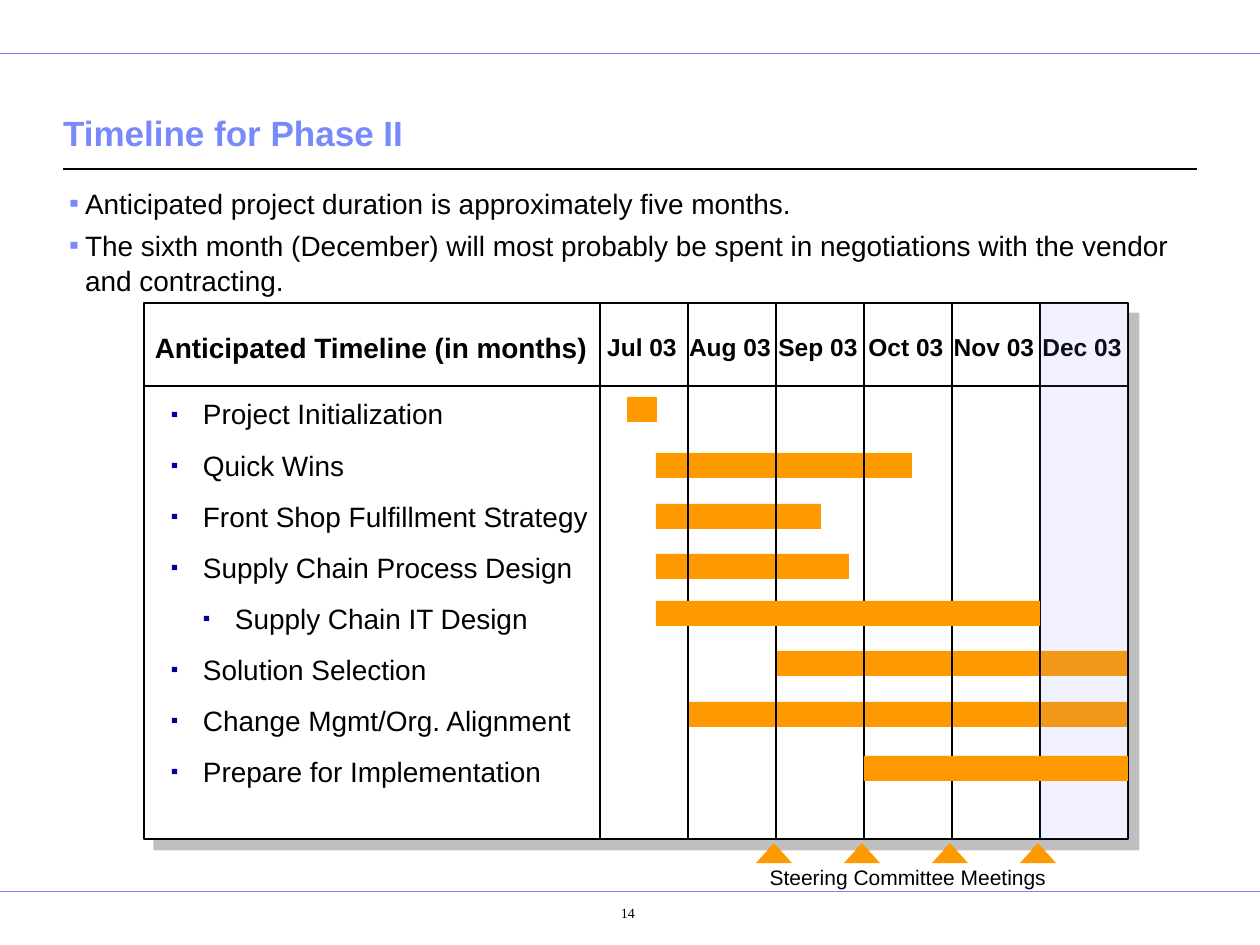
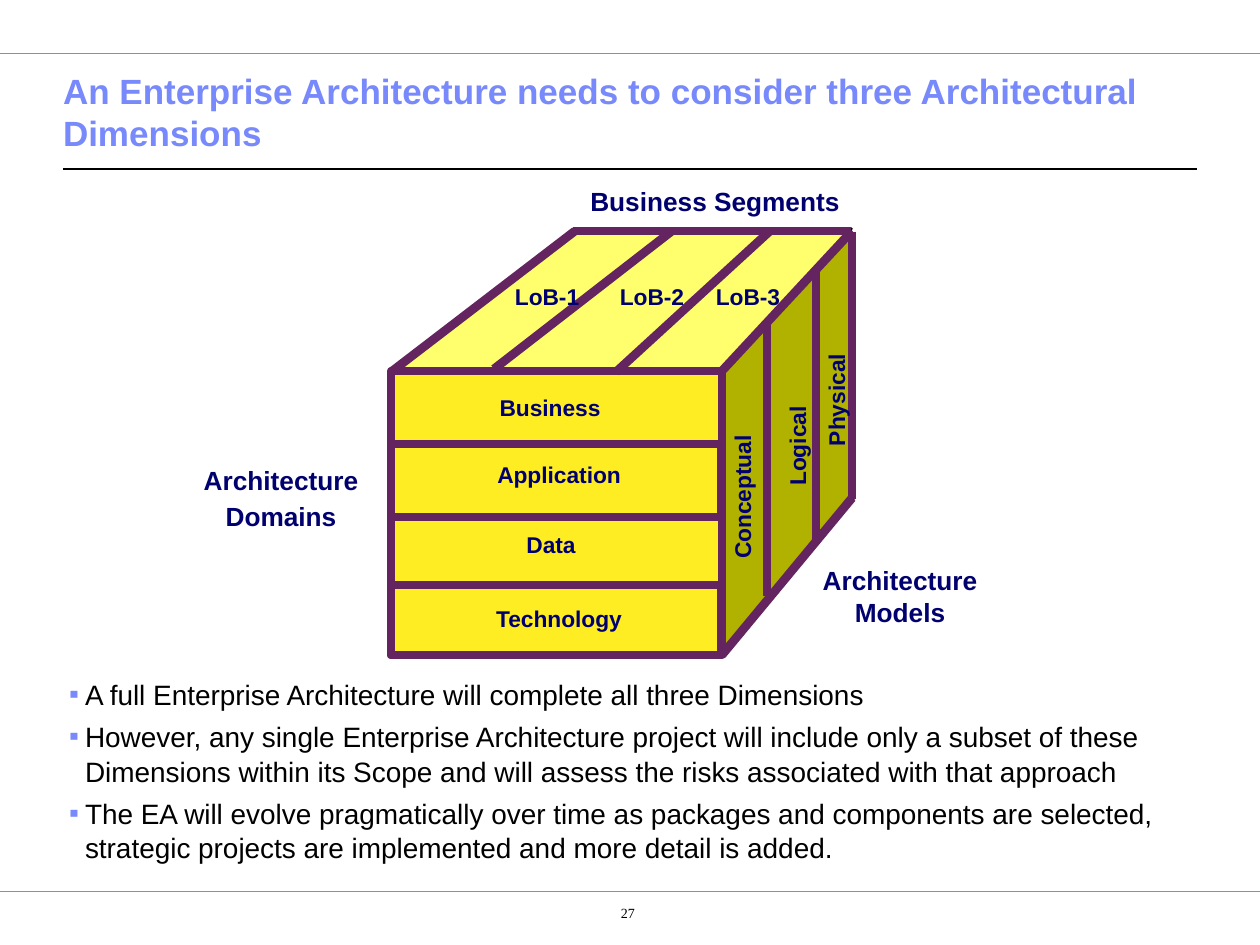
from lxml.etree import SubElement
from pptx import Presentation
from pptx.dml.color import RGBColor
from pptx.enum.shapes import MSO_CONNECTOR, MSO_SHAPE
from pptx.enum.text import MSO_ANCHOR, MSO_AUTO_SIZE, PP_ALIGN
from pptx.oxml.ns import qn
from pptx.util import Emu, Pt

EMU_PER_PX = 914400 / 126
SLIDE_WIDTH, SLIDE_HEIGHT = 1260, 945

BLUE = RGBColor(0x78, 0x89, 0xFB)
BLACK = RGBColor(0x00, 0x00, 0x00)
WHITE = RGBColor(0xFF, 0xFF, 0xFF)
ORANGE = RGBColor(0xFF, 0x99, 0x00)
BULLET_NAVY = RGBColor(0x00, 0x00, 0x99)
LABEL_NAVY = RGBColor(0x00, 0x00, 0x6E)
PURPLE = RGBColor(0x64, 0x24, 0x60)
FRONT_YELLOW = RGBColor(0xFF, 0xED, 0x24)
TOP_YELLOW = RGBColor(0xFF, 0xFF, 0x6D)
SIDE_OLIVE = RGBColor(0xB1, 0xB1, 0x00)

CHART_LEFT, CHART_TOP, CHART_RIGHT, CHART_BOTTOM = 144, 303, 1128, 839
HEADER_BOTTOM = 386
FIRST_MONTH, MONTH_WIDTH = 600, 88
BAR_HEIGHT = 25
MONTHS = ["Jul 03", "Aug 03", "Sep 03", "Oct 03", "Nov 03", "Dec 03"]
# Task, text indent, bar left, bar top, bar width, bar in front of the month lines
TASKS = [
    ("Project Initialization", 32, 627, 397, 30, False),
    ("Quick Wins", 32, 656, 453, 256, False),
    ("Front Shop Fulfillment Strategy", 32, 656, 504, 165, False),
    ("Supply Chain Process Design", 32, 656, 554, 193, False),
    ("Supply Chain IT Design", 64, 656, 601, 384, True),
    ("Solution Selection", 32, 776, 651, 352, False),
    ("Change Mgmt/Org. Alignment", 32, 688, 702, 440, False),
    ("Prepare for Implementation", 32, 864, 756, 264, True),
]

CUBE_EDGES = [
    (494, 369, 672, 231), (391, 372, 575, 231), (722, 655, 852, 498),
    (616, 372, 770, 231), (573, 231, 851, 231), (852, 232, 852, 499),
    (721, 372, 852, 231), (767, 321, 767, 596), (816, 267, 816, 544),
]
# Text, centre x, centre y, rotation
CUBE_LABELS = [
    ("Business", 550, 407, 0), ("Application", 559, 474, 0),
    ("Data", 551, 544, 0), ("Technology", 559, 618, 0),
    ("LoB-1", 547, 296, 0), ("LoB-2", 652, 296, 0), ("LoB-3", 748, 296, 0),
    ("Conceptual", 742, 497, 270), ("Logical", 797, 446, 270),
    ("Physical", 836, 400, 270),
]


def px(length):
    return Emu(round(length * EMU_PER_PX))


def place(shape, left, top, width, height):
    shape.left, shape.top = px(left), px(top)
    shape.width, shape.height = px(width), px(height)


def set_frame(frame, anchor, margin_x=0, margin_y=0):
    frame.word_wrap = True
    frame.auto_size = MSO_AUTO_SIZE.NONE
    frame.vertical_anchor = anchor
    frame.margin_left = frame.margin_right = px(margin_x)
    frame.margin_top = frame.margin_bottom = px(margin_y)


def add_span(para, text, size, color, bold=False, font="Arial"):
    span = para.add_run()
    span.text = text
    span.font.size = Pt(size)
    span.font.name = font
    span.font.bold = bold
    span.font.color.rgb = color


def paragraphs(frame, count):
    return [frame.paragraphs[0]] + [frame.add_paragraph() for _ in range(count - 1)]


def add_bullet(para, indent, hanging, color, percent):
    properties = para._p.get_or_add_pPr()
    properties.set("marL", str(px(indent)))
    properties.set("indent", str(-px(hanging)))
    bullet_color = SubElement(properties, qn("a:buClr"))
    SubElement(bullet_color, qn("a:srgbClr"), val=str(color))
    SubElement(properties, qn("a:buSzPct"), val=str(percent * 1000))
    SubElement(properties, qn("a:buFont"), typeface="Arial")
    SubElement(properties, qn("a:buChar"), char="▪")


def fill_list(frame, items, hanging, color, percent, gap, line_spacing):
    """Write (text, indent) items as bulleted paragraphs."""
    for index, (para, (text, indent)) in enumerate(zip(paragraphs(frame, len(items)), items)):
        add_bullet(para, indent, hanging, color, percent)
        para.space_before = Pt(gap if index else 0)
        para.line_spacing = line_spacing
        add_span(para, text, 16, BLACK)


def add_label(page, lines, center_x, center_y, size, color, bold=True,
              width=180, rotation=0, font="Arial"):
    """Centre the lines of text on a point."""
    height = 36 * len(lines)
    box = page.shapes.add_textbox(0, 0, 0, 0)
    place(box, center_x - width / 2, center_y - height / 2, width, height)
    box.rotation = rotation
    set_frame(box.text_frame, MSO_ANCHOR.MIDDLE)
    for index, (para, text) in enumerate(zip(paragraphs(box.text_frame, len(lines)), lines)):
        para.alignment = PP_ALIGN.CENTER
        para.space_before = Pt(2.8 if index else 0)
        add_span(para, text, size, color, bold, font)


def add_line(page, start_x, start_y, end_x, end_y, color, weight):
    line = page.shapes.add_connector(
        MSO_CONNECTOR.STRAIGHT, px(start_x), px(start_y), px(end_x), px(end_y))
    line.line.color.rgb = color
    line.line.width = Pt(weight)
    SubElement(line._element.spPr, qn("a:effectLst"))


def style_shape(shape, fill=None, line=None, weight=1):
    shape.shadow.inherit = False
    if fill is None:
        shape.fill.background()
    else:
        shape.fill.solid()
        shape.fill.fore_color.rgb = fill
    if line is None:
        shape.line.fill.background()
    else:
        shape.line.color.rgb = line
        shape.line.width = Pt(weight)


def add_box(page, left, top, width, height, fill=None, line=None, weight=1,
            kind=MSO_SHAPE.RECTANGLE):
    shape = page.shapes.add_shape(kind, px(left), px(top), px(width), px(height))
    style_shape(shape, fill, line, weight)
    return shape


def add_face(page, points, fill):
    corners = [(px(x), px(y)) for x, y in points]
    builder = page.shapes.build_freeform(*corners[0])
    builder.add_line_segments(corners[1:], close=True)
    style_shape(builder.convert_to_shape(), fill, BLACK, 2)


def add_color_alpha(parent, color, percent):
    node = SubElement(parent, qn("a:srgbClr"), val=color)
    SubElement(node, qn("a:alpha"), val=str(percent * 1000))


def add_offset_shadow(shape):
    effects = shape._element.spPr.find(qn("a:effectLst"))
    shadow = SubElement(effects, qn("a:outerShdw"), blurRad="0", dist=str(Pt(8.5)),
                        dir="2700000", algn="tl", rotWithShape="0")
    add_color_alpha(shadow, "808080", 50)


def make_transparent(shape, percent):
    color = shape._element.spPr.find(qn("a:solidFill")).find(qn("a:srgbClr"))
    SubElement(color, qn("a:alpha"), val=str(percent * 1000))


def add_page(deck, title, points, body_top, body_height, number):
    """Add a slide with the shared rules, title, bullet list and page number."""
    page = deck.slides.add_slide(deck.slide_layouts[1])
    for y in (53, 891):
        add_line(page, 0, y, SLIDE_WIDTH, y, BLUE, 0.5)
    add_line(page, 63, 169, 1197, 169, BLACK, 0.75)

    heading = page.shapes.title
    place(heading, 63, 81, 1134, 79)
    set_frame(heading.text_frame, MSO_ANCHOR.BOTTOM, margin_y=6)
    para = heading.text_frame.paragraphs[0]
    para.alignment = PP_ALIGN.LEFT
    add_span(para, title, 20, BLUE, bold=True)

    body = page.placeholders[1]
    place(body, 63, body_top, 1134, body_height)
    set_frame(body.text_frame, MSO_ANCHOR.TOP, 6, 6)
    fill_list(body.text_frame, [(text, 16) for text in points], 16, BLUE, 100, 4, 1.04)

    add_label(page, [str(number)], 628, 913, 8, BLACK, bold=False, font="Times New Roman")
    return page


def add_bars(page, in_front):
    for _, _, left, top, width, front in TASKS:
        if front == in_front:
            add_box(page, left, top, width, BAR_HEIGHT, ORANGE)


def add_timeline(page):
    chart_width, chart_height = CHART_RIGHT - CHART_LEFT, CHART_BOTTOM - CHART_TOP
    chart = add_box(page, CHART_LEFT, CHART_TOP, chart_width, chart_height, WHITE, BLACK, 1.13)
    add_offset_shadow(chart)
    add_line(page, CHART_LEFT, HEADER_BOTTOM, CHART_RIGHT, HEADER_BOTTOM, BLACK, 1.13)
    add_label(page, ["Anticipated Timeline (in months)"], 371, 347, 16, BLACK, width=456)

    tasks = page.shapes.add_textbox(px(171), px(397), px(426), px(400))
    set_frame(tasks.text_frame, MSO_ANCHOR.TOP)
    fill_list(tasks.text_frame, [task[:2] for task in TASKS], 32, BULLET_NAVY, 75, 10, 1.0)

    add_bars(page, in_front=False)
    month_lines = [FIRST_MONTH + MONTH_WIDTH * index for index in range(len(MONTHS) + 1)]
    for x in month_lines:
        add_line(page, x, CHART_TOP, x, CHART_BOTTOM, BLACK, 1.5)
    for x, month in zip(month_lines, MONTHS):
        add_label(page, [month], x + 42, 347, 14, BLACK, width=MONTH_WIDTH)
    december = add_box(page, month_lines[-2], CHART_TOP, MONTH_WIDTH, chart_height, BLUE)
    make_transparent(december, 10)
    add_bars(page, in_front=True)

    for x in month_lines[2:6]:
        add_box(page, x - 20, 843, 36, 20, ORANGE, kind=MSO_SHAPE.ISOSCELES_TRIANGLE)
    add_label(page, ["Steering Committee Meetings"], 908, 877, 12, BLACK, bold=False, width=300)


def add_cube(page):
    add_face(page, [(851, 232), (853, 499), (721, 654), (721, 372)], SIDE_OLIVE)
    add_face(page, [(721, 372), (851, 229), (575, 229), (391, 370)], TOP_YELLOW)
    add_box(page, 391, 371, 331, 284, FRONT_YELLOW, PURPLE, 5)
    for top, height in ((444, 73), (585, 70)):
        add_box(page, 391, top, 330, height, line=PURPLE, weight=5)
    for edge in CUBE_EDGES:
        add_line(page, *edge, PURPLE, 5)
    for text, x, y, rotation in CUBE_LABELS:
        add_label(page, [text], x, y, 13, LABEL_NAVY, rotation=rotation)
    add_label(page, ["Business Segments"], 715, 201, 15, LABEL_NAVY, width=336)
    add_label(page, ["Architecture", "Domains"], 281, 498, 15, LABEL_NAVY)
    add_label(page, ["Architecture Models"], 900, 596, 15, LABEL_NAVY)


def main():
    deck = Presentation()
    deck.slide_width, deck.slide_height = px(SLIDE_WIDTH), px(SLIDE_HEIGHT)

    add_timeline(add_page(deck, "Timeline for Phase II", [
        "Anticipated project duration is approximately five months.",
        "The sixth month (December) will most probably be spent in negotiations "
        "with the vendor and contracting.",
    ], 179, 694, 14))

    add_cube(add_page(
        deck, "An Enterprise Architecture needs to consider three Architectural Dimensions", [
            "A full Enterprise Architecture will complete all three Dimensions",
            "However, any single Enterprise Architecture project will include only a subset "
            "of these Dimensions within its Scope and will assess the risks associated "
            "with that approach",
            "The EA will evolve pragmatically over time as packages and components are "
            "selected, strategic projects are implemented and more detail is added.",
        ], 670, 203, 27))

    deck.save("out.pptx")


if __name__ == "__main__":
    main()
